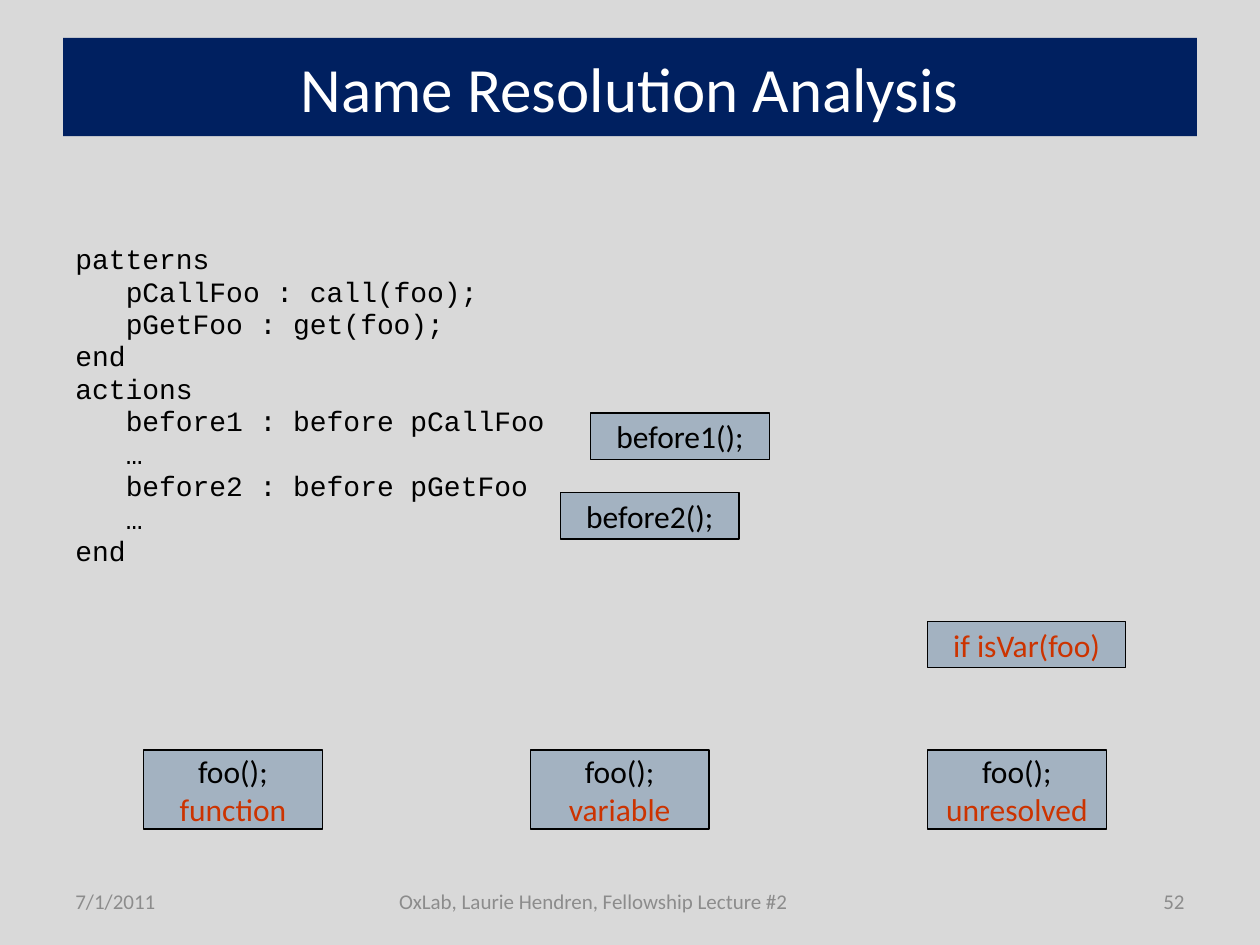
"""Build the Name Resolution Analysis slide."""
from pptx import Presentation
from pptx.dml.color import RGBColor
from pptx.enum import shapes, text
from pptx.util import Pt

NAVY = RGBColor(0x00, 0x20, 0x60)
WHITE = RGBColor(0xFF, 0xFF, 0xFF)
BLACK = RGBColor(0x00, 0x00, 0x00)
RED = RGBColor(0xCC, 0x33, 0x00)
STEEL = RGBColor(0xA3, 0xB2, 0xC1)
GREY = RGBColor(0x8C, 0x8C, 0x8C)
BACKGROUND = RGBColor(0xD9, 0xD9, 0xD9)
CENTER, LEFT, RIGHT = text.PP_ALIGN.CENTER, text.PP_ALIGN.LEFT, text.PP_ALIGN.RIGHT


def style(p, size, color, align=LEFT, font="Calibri"):
    p.alignment = align
    for r in p.runs:
        r.font.name = font
        r.font.size = Pt(size)
        r.font.color.rgb = color


prs = Presentation()
prs.slide_width, prs.slide_height = Pt(720), Pt(540)
s = prs.slides.add_slide(prs.slide_layouts[5])
s.background.fill.solid()
s.background.fill.fore_color.rgb = BACKGROUND

title = s.shapes.title
title.left, title.top, title.width, title.height = Pt(36), Pt(21.6), Pt(648), Pt(56.2)
title.fill.solid()
title.fill.fore_color.rgb = NAVY
tf = title.text_frame
tf.text = "Name Resolution Analysis"
tf.vertical_anchor = text.MSO_ANCHOR.MIDDLE
style(tf.paragraphs[0], 36, WHITE, CENTER)

code = [
    (0, "patterns"),
    (1, "pCallFoo : call(foo);"),
    (1, "pGetFoo : get(foo);"),
    (0, "end"),
    (0, "actions"),
    (1, "before1 : before pCallFoo"),
    (1, "…"),
    (1, "before2 : before pGetFoo"),
    (1, "…"),
    (0, "end"),
]
tf = s.shapes.add_textbox(Pt(36), Pt(138.2), Pt(648), Pt(401.8)).text_frame
tf.word_wrap = True
tf.text = "\n".join(line for level, line in code)
for p, (level, line) in zip(tf.paragraphs, code):
    p.line_spacing = 0.8
    p.space_before = Pt(3.2)
    p._p.get_or_add_pPr().set("marL", str(Pt(28.8 * level)))
    style(p, 16, BLACK, font="Courier New")

footers = [
    (144, 390.2, "OxLab, Laurie Hendren, Fellowship Lecture #2", CENTER),
    (36, 84.2, "7/1/2011", LEFT),
    (606.2, 77.8, "52", RIGHT),
]
for left, width, label, align in footers:
    tf = s.shapes.add_textbox(Pt(left), Pt(500.4), Pt(width), Pt(28.8)).text_frame
    tf.word_wrap = True
    tf.vertical_anchor = text.MSO_ANCHOR.MIDDLE
    tf.text = label
    style(tf.paragraphs[0], 12, GREY, align)

boxes = [
    (82, 428.6, 102.2, 45.2, [("foo();", BLACK), ("function", RED)]),
    (303, 428.6, 102.2, 45.2, [("foo();", BLACK), ("variable", RED)]),
    (530, 428.6, 102.2, 45.2, [("foo();", BLACK), ("unresolved", RED)]),
    (337.5, 236, 102.2, 26.6, [("before1();", BLACK)]),
    (320.2, 281.5, 102.2, 26.6, [("before2();", BLACK)]),
    (530, 355, 113.3, 26.6, [("if isVar(foo)", RED)]),
]
for left, top, width, height, lines in boxes:
    sp = s.shapes.add_shape(shapes.MSO_SHAPE.RECTANGLE, Pt(left), Pt(top), Pt(width), Pt(height))
    sp.shadow.inherit = False
    sp.fill.solid()
    sp.fill.fore_color.rgb = STEEL
    sp.line.color.rgb = BLACK
    sp.line.width = Pt(0.75)
    tf = sp.text_frame
    tf.word_wrap = False
    tf.vertical_anchor = text.MSO_ANCHOR.MIDDLE
    tf.text = "\n".join(label for label, color in lines)
    for p, (label, color) in zip(tf.paragraphs, lines):
        style(p, 18, color, CENTER)

prs.save("out.pptx")
